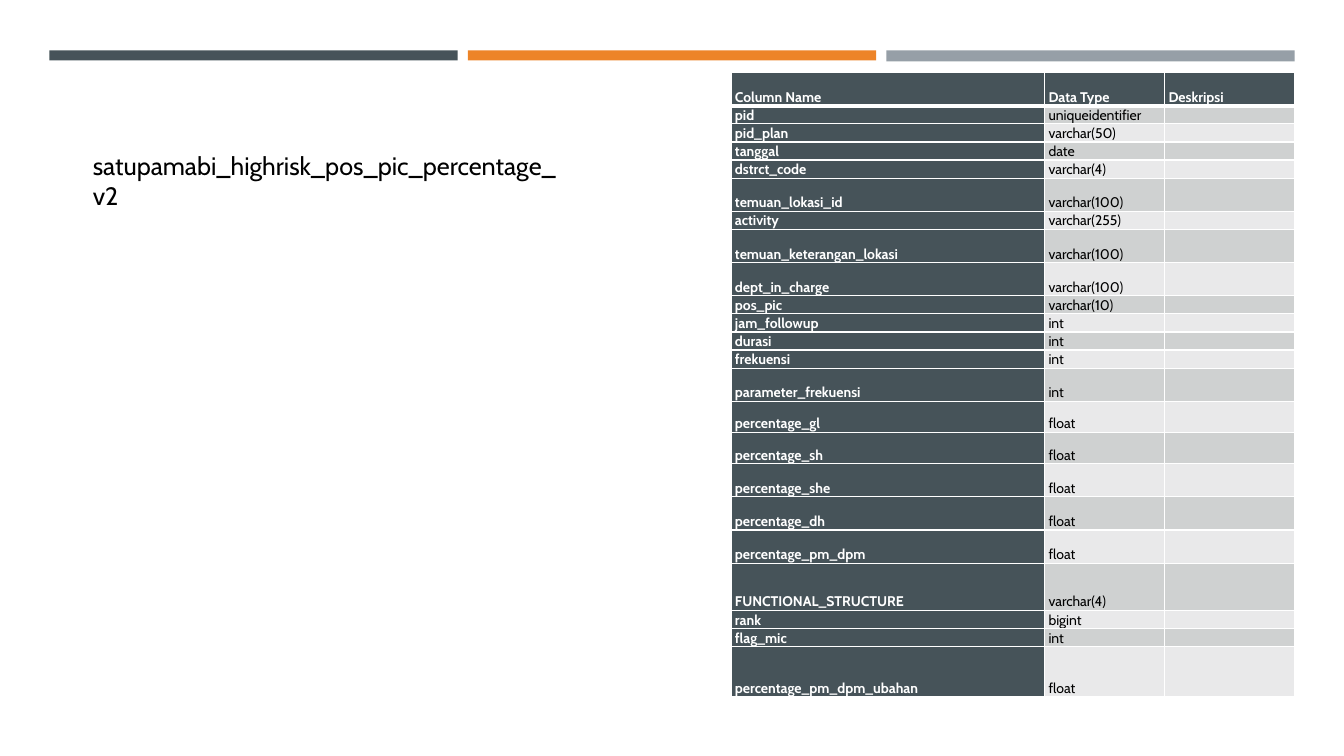
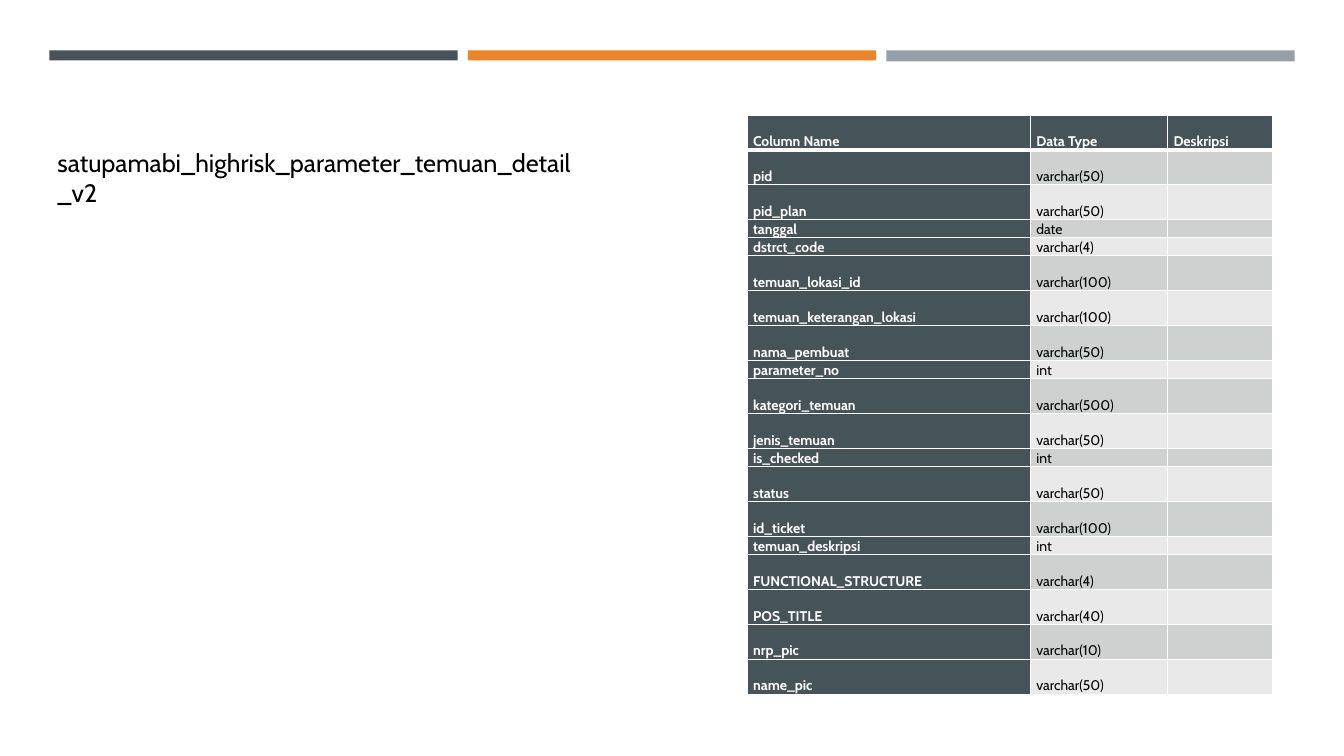
from dataclasses import dataclass

from lxml.etree import SubElement
from pptx import Presentation
from pptx.dml.color import RGBColor
from pptx.enum.shapes import MSO_SHAPE
from pptx.enum.text import MSO_ANCHOR, MSO_AUTO_SIZE, PP_ALIGN
from pptx.oxml.ns import qn
from pptx.util import Inches, Pt

COLORS = {
    "slate": "465359",
    "orange": "ED8428",
    "gray": "969FA7",
    "odd_row": "CFD1D1",
    "even_row": "E9E9EA",
    "white": "FFFFFF",
    "black": "000000",
}
FONT = "Cabin"
HEADER = ("Column Name", "Data Type", "Deskripsi")
SHORT = 0.18
TITLE_FORMAT = {"name": FONT, "size": Pt(18), "bold": False}
CELL_FORMAT = {"name": FONT, "size": Pt(10)}


@dataclass
class Band:
    left: float
    height: float
    color: str


@dataclass
class Field:
    name: str
    data_type: str
    height: float = SHORT


@dataclass
class TableSlide:
    title: str
    title_box: tuple[float, float, float, float]
    table_box: tuple[float, float, float, float]
    column_widths: tuple[float, float, float]
    side_margin: float
    header_height: float
    fields: list[Field]


BANDS = [
    Band(0.49, 0.1, "slate"),
    Band(4.64, 0.1, "orange"),
    Band(8.79, 0.11, "gray"),
]

TABLE_SLIDES = [
    TableSlide(
        title="satupamabi_highrisk_pos_pic_percentage_v2",
        title_box=(0.82, 1.44, 4.82, 0.4),
        table_box=(7.25, 0.72, 5.59, 6.2),
        column_widths=(3.11, 1.19, 1.29),
        side_margin=0.04,
        header_height=0.33,
        fields=[
            Field("pid", "uniqueidentifier"),
            Field("pid_plan", "varchar(50)"),
            Field("tanggal", "date"),
            Field("dstrct_code", "varchar(4)"),
            Field("temuan_lokasi_id", "varchar(100)", 0.33),
            Field("activity", "varchar(255)"),
            Field("temuan_keterangan_lokasi", "varchar(100)", 0.33),
            Field("dept_in_charge", "varchar(100)", 0.33),
            Field("pos_pic", "varchar(10)"),
            Field("jam_followup", "int"),
            Field("durasi", "int"),
            Field("frekuensi", "int"),
            Field("parameter_frekuensi", "int", 0.33),
            Field("percentage_gl", "float", 0.31),
            Field("percentage_sh", "float", 0.31),
            Field("percentage_she", "float", 0.33),
            Field("percentage_dh", "float", 0.33),
            Field("percentage_pm_dpm", "float", 0.33),
            Field("FUNCTIONAL_STRUCTURE", "varchar(4)", 0.47),
            Field("rank", "bigint"),
            Field("flag_mic", "int"),
            Field("percentage_pm_dpm_ubahan", "float", 0.5),
        ],
    ),
    TableSlide(
        title="satupamabi_highrisk_parameter_temuan_detail_v2",
        title_box=(0.47, 1.41, 5.42, 0.4),
        table_box=(7.41, 1.14, 5.21, 5.75),
        column_widths=(2.81, 1.36, 1.04),
        side_margin=0.06,
        header_height=0.35,
        fields=[
            Field("pid", "varchar(50)", 0.35),
            Field("pid_plan", "varchar(50)", 0.35),
            Field("tanggal", "date"),
            Field("dstrct_code", "varchar(4)"),
            Field("temuan_lokasi_id", "varchar(100)", 0.35),
            Field("temuan_keterangan_lokasi", "varchar(100)", 0.35),
            Field("nama_pembuat", "varchar(50)", 0.35),
            Field("parameter_no", "int"),
            Field("kategori_temuan", "varchar(500)", 0.35),
            Field("jenis_temuan", "varchar(50)", 0.35),
            Field("is_checked", "int"),
            Field("status", "varchar(50)", 0.35),
            Field("id_ticket", "varchar(100)", 0.35),
            Field("temuan_deskripsi", "int"),
            Field("FUNCTIONAL_STRUCTURE", "varchar(4)", 0.35),
            Field("POS_TITLE", "varchar(40)", 0.35),
            Field("nrp_pic", "varchar(10)", 0.35),
            Field("name_pic", "varchar(50)", 0.35),
        ],
    ),
]


def rgb(name: str) -> RGBColor:
    return RGBColor.from_string(COLORS[name])


def add_run(paragraph, text: str, font_format: dict, color: str) -> None:
    run = paragraph.add_run()
    run.text = text
    for attribute, value in font_format.items():
        setattr(run.font, attribute, value)
    run.font.color.rgb = rgb(color)


def add_bands(layout, slide) -> None:
    """Draw the bands on a slide, then move them to its layout."""
    for band in BANDS:
        shape = slide.shapes.add_shape(
            MSO_SHAPE.RECTANGLE,
            Inches(band.left), Inches(0.5), Inches(4.05), Inches(band.height),
        )
        shape.shadow.inherit = False
        shape.fill.solid()
        shape.fill.fore_color.rgb = rgb(band.color)
        shape.line.fill.background()
        layout.shapes._spTree.append(shape._element)


def set_title(slide, content: TableSlide) -> None:
    title = slide.shapes.title
    title.left, title.top, title.width, title.height = map(Inches, content.title_box)
    frame = title.text_frame
    frame_format = {
        "word_wrap": True,
        "auto_size": MSO_AUTO_SIZE.SHAPE_TO_FIT_TEXT,
        "vertical_anchor": MSO_ANCHOR.TOP,
    }
    for attribute, value in frame_format.items():
        setattr(frame, attribute, value)
    paragraph = frame.paragraphs[0]
    paragraph.alignment = PP_ALIGN.LEFT
    add_run(paragraph, content.title, TITLE_FORMAT, "black")


def add_borders(cell, top: float, bottom: float) -> None:
    properties = cell._tc.get_or_add_tcPr()
    for tag, width in (("lnL", 1), ("lnR", 1), ("lnT", top), ("lnB", bottom)):
        line = SubElement(properties, qn(f"a:{tag}"), w=str(Pt(width)))
        fill = SubElement(line, qn("a:solidFill"))
        SubElement(fill, qn("a:srgbClr"), val=COLORS["white"])


def fill_cell(cell, text: str, row: int, column: int, side_margin: float) -> None:
    is_heading = row == 0 or column == 0
    add_borders(cell, top=3 if row == 1 else 1, bottom=3 if row == 0 else 1)
    cell.fill.solid()
    row_color = "odd_row" if row % 2 else "even_row"
    cell.fill.fore_color.rgb = rgb("slate" if is_heading else row_color)
    cell_format = {
        "margin_left": Inches(side_margin),
        "margin_right": Inches(side_margin),
        "margin_top": 0,
        "margin_bottom": 0,
        "vertical_anchor": MSO_ANCHOR.BOTTOM,
    }
    for attribute, value in cell_format.items():
        setattr(cell, attribute, value)
    paragraph = cell.text_frame.paragraphs[0]
    paragraph.line_spacing = 1.07
    if text:
        font_format = CELL_FORMAT | {"bold": is_heading}
        add_run(paragraph, text, font_format, "white" if is_heading else "black")
    else:
        SubElement(paragraph._p, qn("a:endParaRPr"), sz="1000")


def add_field_table(slide, content: TableSlide) -> None:
    """Add the field table, with row heights scaled to fill its box."""
    rows = [HEADER] + [(field.name, field.data_type, "") for field in content.fields]
    heights = [content.header_height] + [field.height for field in content.fields]
    scale = content.table_box[3] / sum(heights)
    table = slide.shapes.add_table(
        len(rows), len(HEADER), *map(Inches, content.table_box)
    ).table
    for column, width in zip(table.columns, content.column_widths):
        column.width = Inches(width)
    for row_index, (texts, height) in enumerate(zip(rows, heights)):
        table.rows[row_index].height = Inches(height * scale)
        for column_index, text in enumerate(texts):
            cell = table.cell(row_index, column_index)
            fill_cell(cell, text, row_index, column_index, content.side_margin)


def main() -> None:
    presentation = Presentation()
    presentation.slide_width = Inches(13.33)
    presentation.slide_height = Inches(7.5)
    layout = presentation.slide_layouts.get_by_name("Title Only")
    for index, content in enumerate(TABLE_SLIDES):
        slide = presentation.slides.add_slide(layout)
        if index == 0:
            add_bands(layout, slide)
        set_title(slide, content)
        add_field_table(slide, content)
    presentation.save("out.pptx")


if __name__ == "__main__":
    main()
